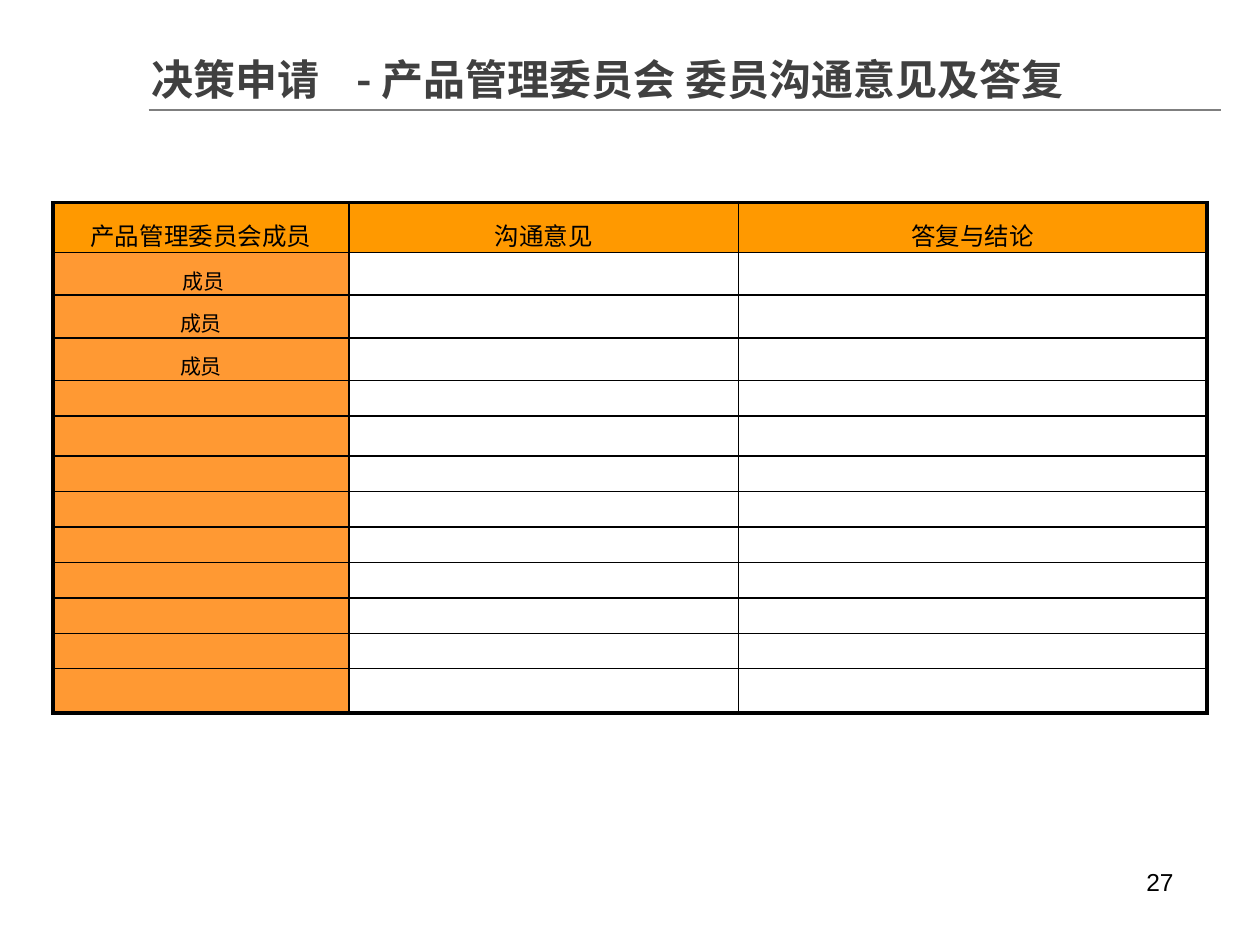
from dataclasses import dataclass

from lxml.etree import SubElement
from pptx import Presentation
from pptx.dml.color import RGBColor
from pptx.enum.shapes import MSO_CONNECTOR
from pptx.enum.text import MSO_ANCHOR, MSO_AUTO_SIZE, PP_ALIGN
from pptx.oxml.ns import qn
from pptx.slide import Slide
from pptx.table import _Cell as Cell
from pptx.text.text import _Paragraph as Para
from pptx.util import Emu, Pt

PX = 3175  # 288 px to the inch


@dataclass(frozen=True)
class Theme:
    cjk: str = "Noto Sans CJK SC"
    latin: str = "Arial"
    ink: str = "000000"
    title: str = "404040"
    rule: str = "7F7F7F"
    head: str = "FF9900"
    side: str = "FF9933"
    title_pt: int = 24
    head_pt: int = 14
    body_pt: int = 12
    thin: float = 1
    thick: float = 2.25


@dataclass(frozen=True)
class Box:
    left: int
    top: int
    width: int
    height: int

    def emu(self) -> tuple[Emu, ...]:
        return tuple(px(n) for n in (self.left, self.top, self.width, self.height))


THEME = Theme()
TITLE = "决策申请\t- 产品管理委员会 委员沟通意见及答复"
HEADS = ["产品管理委员会成员", "沟通意见", "答复与结论"]
NAMES = [" 成员", "成员", "成员"]
COLS = [677, 890, 1071]
ROWS = [92, *[81] * 4, 92, *[81] * 6, 101]


def px(count: int) -> Emu:
    return Emu(count * PX)


def style(para: Para, size: int, color: str, face: str, bold: bool = False) -> None:
    """Set the paragraph font for both Latin and East Asian text."""
    font = para.font
    font.size, font.bold, font.name = Pt(size), bold, face
    font.color.rgb = RGBColor.from_string(color)
    base = para._p.get_or_add_pPr().find(qn("a:defRPr"))
    SubElement(base, qn("a:ea"), typeface=face)


def add_title(slide: Slide, box: Box) -> None:
    shape = slide.shapes.title
    shape.left, shape.top, shape.width, shape.height = box.emu()
    frame = shape.text_frame
    frame.text = TITLE
    frame.auto_size = MSO_AUTO_SIZE.NONE
    frame.word_wrap = True
    frame.vertical_anchor = MSO_ANCHOR.BOTTOM
    para = frame.paragraphs[0]
    para.alignment = PP_ALIGN.LEFT
    style(para, THEME.title_pt, THEME.title, THEME.cjk, bold=True)
    base = para._p.pPr.find(qn("a:defRPr"))
    tabs = base.makeelement(qn("a:tabLst"))
    base.addprevious(tabs)
    SubElement(tabs, qn("a:tab"), pos=str(px(470)), algn="l")


def add_rule(slide: Slide, left: int, right: int, top: int) -> None:
    line = slide.shapes.add_connector(
        MSO_CONNECTOR.STRAIGHT, px(left), px(top), px(right), px(top))
    line.line.color.rgb = RGBColor.from_string(THEME.rule)
    line.line.width = Pt(THEME.thin)
    SubElement(line._element.spPr, qn("a:effectLst"))


def add_page(slide: Slide, box: Box, number: int) -> None:
    frame = slide.shapes.add_textbox(*box.emu()).text_frame
    frame.word_wrap = True
    frame.text = str(number)
    style(frame.paragraphs[0], THEME.head_pt, THEME.ink, THEME.latin)


def edge(cell: Cell, row: int, col: int) -> None:
    """Draw thick borders on the table's outside and thin ones inside."""
    outer = {
        "a:lnL": col == 0,
        "a:lnR": col == len(COLS) - 1,
        "a:lnT": row == 0,
        "a:lnB": row == len(ROWS) - 1,
    }
    props = cell._tc.get_or_add_tcPr()
    for tag, thick in outer.items():
        width = Pt(THEME.thick if thick else THEME.thin)
        line = SubElement(props, qn(tag), w=str(width))
        fill = SubElement(line, qn("a:solidFill"))
        SubElement(fill, qn("a:srgbClr"), val=THEME.ink)


def fill_cell(cell: Cell, row: int, col: int) -> None:
    cell.margin_left = cell.margin_right = 0
    cell.margin_top = cell.margin_bottom = 0
    edge(cell, row, col)
    if row == 0 or col == 0:
        cell.fill.solid()
        tint = THEME.head if row == 0 else THEME.side
        cell.fill.fore_color.rgb = RGBColor.from_string(tint)
    else:
        cell.fill.background()
    if row == 0:
        cell.text = HEADS[col]
    elif col == 0 and row <= len(NAMES):
        cell.text = NAMES[row - 1]
    para = cell.text_frame.paragraphs[0]
    para.alignment = PP_ALIGN.CENTER
    if cell.text:
        para.line_spacing = 1.4
    size = THEME.head_pt if row == 0 else THEME.body_pt
    style(para, size, THEME.ink, THEME.cjk)


def add_grid(slide: Slide, left: int, top: int) -> None:
    box = Box(left, top, sum(COLS), sum(ROWS))
    table = slide.shapes.add_table(len(ROWS), len(COLS), *box.emu()).table
    table.first_row = table.horz_banding = False
    for col, width in zip(table.columns, COLS):
        col.width = px(width)
    for row, height in zip(table.rows, ROWS):
        row.height = px(height)
    for row in range(len(ROWS)):
        for col in range(len(COLS)):
            fill_cell(table.cell(row, col), row, col)


def main() -> None:
    deck = Presentation()
    deck.slide_width, deck.slide_height = px(2880), px(2160)
    slide = deck.slides.add_slide(deck.slide_layouts[5])
    add_grid(slide, 121, 463)
    add_page(slide, Box(2592, 1967, 144, 150), 27)
    add_rule(slide, 340, 2791, 252)
    add_title(slide, Box(317, 101, 2223, 152))
    deck.save("out.pptx")


if __name__ == "__main__":
    main()
